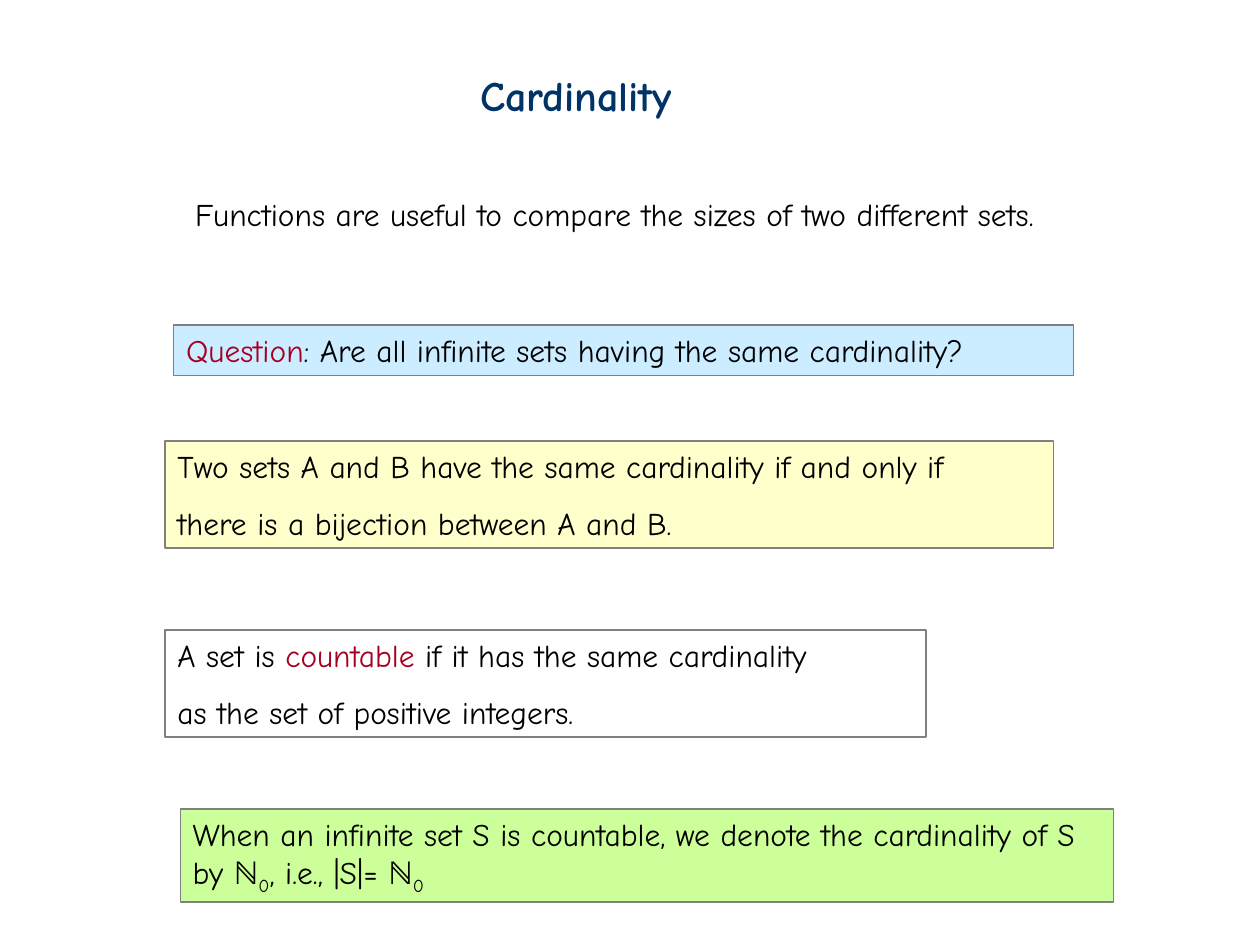
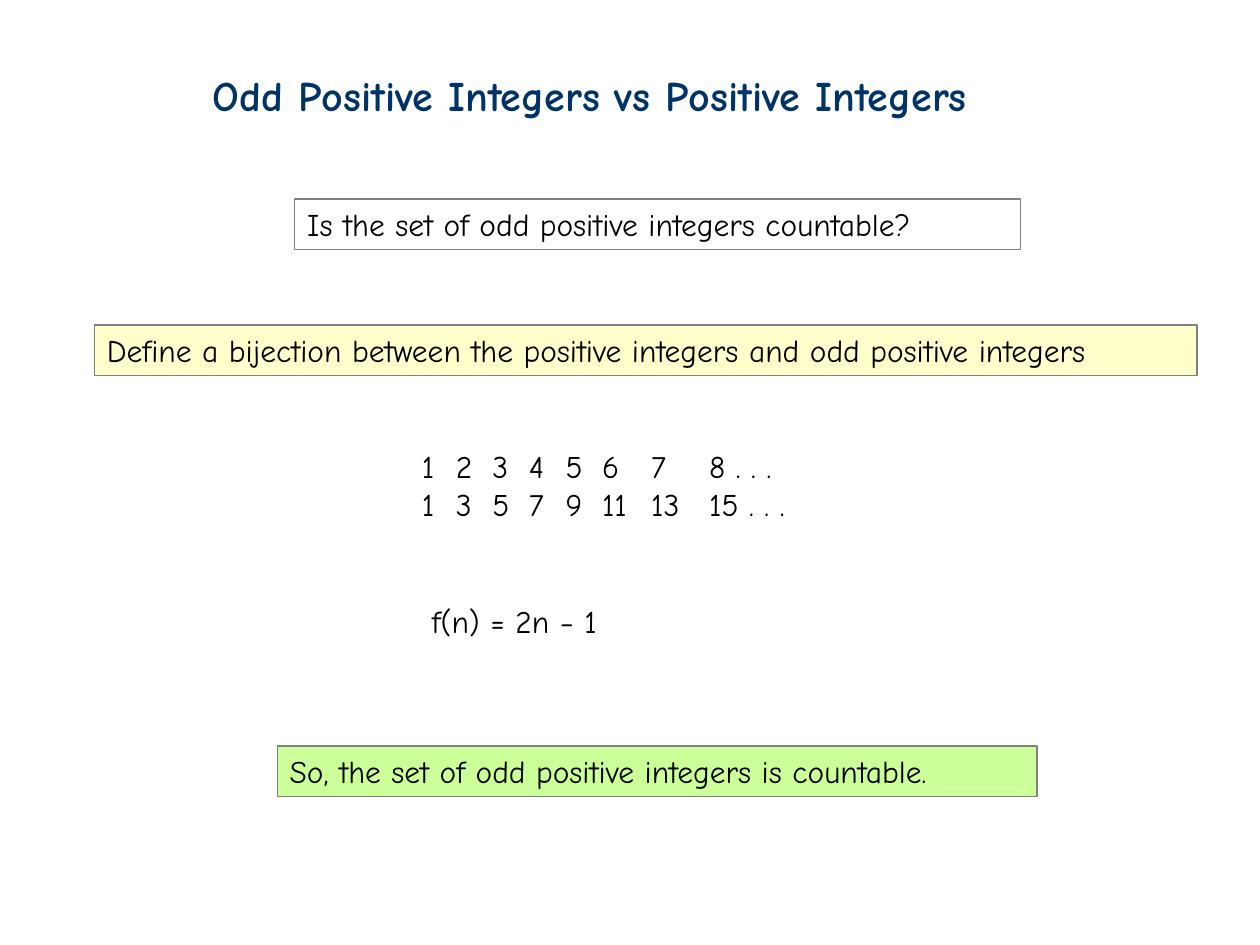
from lxml.etree import SubElement
from pptx import Presentation
from pptx.dml.color import RGBColor
from pptx.enum.shapes import MSO_SHAPE
from pptx.enum.text import MSO_ANCHOR, MSO_AUTO_SIZE, PP_ALIGN
from pptx.oxml.ns import qn
from pptx.util import Inches, Pt

FACE = "Comic Neue"
NAVY, BLACK, RED, GRAY = "003366", "000000", "A50021", "808080"
SKY, CREAM, LIME = "CCECFF", "FFFFCC", "CCFF99"
STOPS = [0.27, 0.56, 0.85, 1.14, 1.43, 1.82, 2.28]

COUNT = ["1", "2", "3", "4", "5", "6", "7", "8 . . ."]
ODDS = ["1", "3", "5", "7", "9", "11", "13", "15 . . ."]

SLIDES = [
    {
        "title": ("Cardinality", (3.71, 0.5, 2.48, 0.5)),
        "plain": [
            ((1.45, 1.5, 7.64, 0.4), 1,
             [["Functions are useful to compare the sizes of two different sets."]]),
        ],
        "boxes": [
            ((1.38, 2.58, 7.14, 0.4), SKY,
             [[("Question", "red"), ": Are all infinite sets having the same cardinality?"]]),
            ((1.31, 3.5, 7.05, 0.85), CREAM,
             [["Two sets A and B have the same cardinality if and only if"],
              ["there is a bijection between A and B."]]),
            ((1.31, 5, 6.04, 0.85), None,
             [["A set is ", ("countable", "red"), " if it has the same cardinality"],
              ["as the set of positive integers."]]),
            ((1.43, 6.42, 7.41, 0.74), LIME,
             [["When an infinite set S is countable, we denote the cardinality of S by ℕ",
               ("0", "sub"), ", i.e., |S|= ℕ", ("0", "sub")]]),
        ],
    },
    {
        "title": ("Odd Positive Integers vs Positive Integers", (1.59, 0.5, 6.96, 0.5)),
        "plain": [
            ((3.25, 3.5, 3.54, 0.7), 1, [["\t".join(COUNT)], ["\t".join(ODDS)]]),
            ((3.33, 4.58, 2.83, 0.55), 1.5, [["f(n) = 2n − 1"]]),
        ],
        "boxes": [
            ((2.34, 1.58, 5.76, 0.4), None,
             [["Is the set of odd positive integers countable?"]]),
            ((0.75, 2.58, 8.75, 0.4), CREAM,
             [["Define a bijection between the positive integers and odd positive integers"]]),
            ((2.2, 5.92, 6.03, 0.4), LIME,
             [["So, the set of odd positive integers is countable."]]),
        ],
    },
]


def color(code):
    return RGBColor.from_string(code)


def place(shape, spot):
    shape.left, shape.top, shape.width, shape.height = map(Inches, spot)


def set_tabs(para):
    tabs = SubElement(para._p.get_or_add_pPr(), qn("a:tabLst"))
    for stop in STOPS:
        SubElement(tabs, qn("a:tab"), pos=str(Inches(stop)), algn="l")


def set_font(para, size, code, bold=False):
    font = para.font
    font.name, font.size, font.bold = FACE, Pt(size), bold
    font.color.rgb = color(code)


def set_frame(frame):
    frame.word_wrap = True
    frame.auto_size = MSO_AUTO_SIZE.NONE
    frame.vertical_anchor = MSO_ANCHOR.TOP


def write(frame, lines, space, code=BLACK):
    set_frame(frame)
    for num, parts in enumerate(lines):
        para = frame.add_paragraph() if num else frame.paragraphs[0]
        para.alignment = PP_ALIGN.LEFT
        para.line_spacing = space[num]
        if "\t" in str(parts[0]):
            set_tabs(para)
        set_font(para, 18, code)
        for part in parts:
            text, mark = part if isinstance(part, tuple) else (part, None)
            run = para.add_run()
            run.text = text
            run.font.color.rgb = color(RED if mark == "red" else code)
            if mark == "sub":
                run._r.get_or_add_rPr().set("baseline", "-25000")


def add_title(slide, text, spot):
    title = slide.shapes.title
    place(title, spot)
    title.text = text
    set_frame(title.text_frame)
    para = title.text_frame.paragraphs[0]
    para.alignment = PP_ALIGN.LEFT
    set_font(para, 24, NAVY, True)


def add_box(slide, spot, fill, lines):
    box = slide.shapes.add_shape(MSO_SHAPE.RECTANGLE, *map(Inches, spot))
    box.shadow.inherit = False
    if fill:
        box.fill.solid()
        box.fill.fore_color.rgb = color(fill)
    else:
        box.fill.background()
    box.line.color.rgb = color(GRAY)
    box.line.width = Pt(0.75)
    write(box.text_frame, lines, [1, 1.5])


def main():
    deck = Presentation()
    deck.slide_width, deck.slide_height = Inches(10), Inches(7.5)
    for page in SLIDES:
        slide = deck.slides.add_slide(deck.slide_layouts[5])
        add_title(slide, *page["title"])
        for spot, space, lines in page["plain"]:
            text = slide.shapes.add_textbox(*map(Inches, spot))
            write(text.text_frame, lines, [space] * len(lines))
        for spot, fill, lines in page["boxes"]:
            add_box(slide, spot, fill, lines)
    deck.save("out.pptx")


if __name__ == "__main__":
    main()
